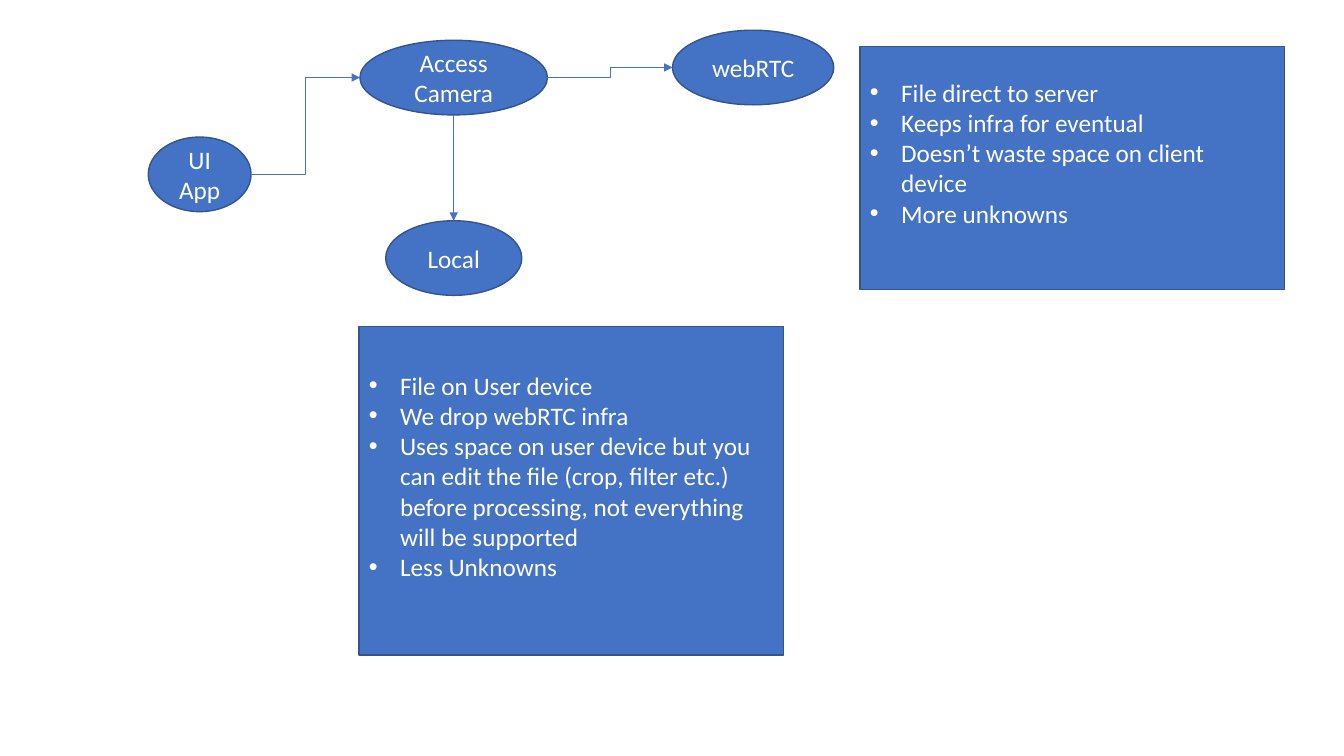
"""Build a slide comparing server streaming with local capture from a camera app."""
from dataclasses import dataclass

from pptx import Presentation
from pptx.dml.color import RGBColor
from pptx.enum.shapes import MSO_CONNECTOR as Connector, MSO_SHAPE as Preset
from pptx.enum.text import MSO_ANCHOR as Anchor, PP_ALIGN as Align
from pptx.oxml.ns import qn
from pptx.shapes.autoshape import Shape
from pptx.slide import Slide
from pptx.util import Inches, Length, Pt
from lxml.etree import SubElement


@dataclass(frozen=True)
class Theme:
    """Colours, type and line weights of the slide."""
    fill: RGBColor = RGBColor(0x44, 0x72, 0xC4)
    outline: RGBColor = RGBColor(0x32, 0x54, 0x91)
    text: RGBColor = RGBColor(0xFF, 0xFF, 0xFF)
    font: str = "Calibri"
    size: Length = Pt(18)
    outline_width: Length = Pt(1)
    arrow_width: Length = Pt(0.5)


@dataclass(frozen=True)
class Step:
    """An oval step placed by grid column and row."""
    label: str
    column: float
    row: float
    columns: float


@dataclass(frozen=True)
class Notes:
    """A bulleted panel placed by grid column and row."""
    points: tuple[str, ...]
    column: float
    row: float
    rows: float


THEME = Theme()
GRID = Inches(0.1)
STEP_ROWS = 7.4
NOTES_COLUMNS = 42.1
BULLET_INDENT = Inches(0.31)
NOTES_BOTTOM_INSET = Inches(0.35)

UI_APP = Step("UI\vApp", 14.7, 13.6, 10.2)
LOCAL = Step("Local", 38.25, 21.9, 13.5)
WEBRTC = Step("webRTC", 66.7, 3, 16)
CAMERA = Step("Access Camera", 35.7, 4, 18.6)
STEPS = (UI_APP, LOCAL, WEBRTC, CAMERA)
SIDEWAYS_LINKS = ((UI_APP, CAMERA), (CAMERA, WEBRTC))

PANELS = (
    Notes(("File direct to server",
           "Keeps infra for eventual",
           "Doesn’t waste space on client device",
           "More unknowns"), 85.3, 4.6, 24.1),
    Notes(("File on User device",
           "We drop webRTC infra",
           "Uses space on user device but you can edit the file (crop, filter etc.) "
           "before processing, not everything will be supported",
           "Less Unknowns"), 35.6, 32.4, 32.6),
)


def grid(units: float) -> Length:
    """Turn grid units into a length."""
    return Length(round(units * GRID))


def add_block(slide: Slide, preset: Preset, column: float, row: float,
              columns: float, rows: float, text: str, align: Align) -> Shape:
    """Add a filled, outlined shape with themed text."""
    shape = slide.shapes.add_shape(preset, grid(column), grid(row), grid(columns), grid(rows))
    shape.shadow.inherit = False
    shape.fill.solid()
    shape.fill.fore_color.rgb = THEME.fill
    shape.line.color.rgb = THEME.outline
    shape.line.width = THEME.outline_width
    frame = shape.text_frame
    frame.word_wrap = True
    frame.vertical_anchor = Anchor.MIDDLE
    frame.text = text
    for paragraph in frame.paragraphs:
        paragraph.alignment = align
        paragraph.font.name = THEME.font
        paragraph.font.size = THEME.size
        paragraph.font.color.rgb = THEME.text
    return shape


def add_step(slide: Slide, step: Step) -> Shape:
    """Add an oval step."""
    return add_block(slide, Preset.OVAL, step.column, step.row, step.columns, STEP_ROWS,
                     step.label, Align.CENTER)


def add_notes(slide: Slide, notes: Notes) -> None:
    """Add a panel of bulleted points."""
    shape = add_block(slide, Preset.RECTANGLE, notes.column, notes.row, NOTES_COLUMNS,
                      notes.rows, "\n".join(notes.points), Align.LEFT)
    shape.text_frame.margin_bottom = NOTES_BOTTOM_INSET
    for paragraph in shape.text_frame.paragraphs:
        properties = paragraph._p.get_or_add_pPr()
        properties.set("marL", str(BULLET_INDENT))
        properties.set("indent", str(-BULLET_INDENT))
        bullet_font = properties.makeelement(qn("a:buFont"), {"typeface": "Arial"})
        bullet = properties.makeelement(qn("a:buChar"), {"char": "•"})
        properties.insert(0, bullet_font)
        properties.insert(1, bullet)


def add_arrow(slide: Slide, kind: Connector, start: tuple[int, int],
              end: tuple[int, int]) -> None:
    """Add a thin connector with a triangular head at its end."""
    arrow = slide.shapes.add_connector(kind, *start, *end)
    arrow.line.color.rgb = THEME.fill
    arrow.line.width = THEME.arrow_width
    SubElement(arrow.line._get_or_add_ln(), qn("a:tailEnd"), type="triangle")
    SubElement(arrow._element.spPr, qn("a:effectLst"))


def middle(shape: Shape) -> tuple[int, int]:
    """Return the centre of a shape."""
    return shape.left + shape.width // 2, shape.top + shape.height // 2


def main() -> None:
    """Build and save the presentation."""
    presentation = Presentation()
    presentation.slide_width = Inches(13.33)
    presentation.slide_height = Inches(7.5)
    slide = presentation.slides.add_slide(presentation.slide_layouts[6])

    ovals = {step: add_step(slide, step) for step in STEPS}
    for source, target in SIDEWAYS_LINKS:
        start, end = ovals[source], ovals[target]
        add_arrow(slide, Connector.ELBOW, (start.left + start.width, middle(start)[1]),
                  (end.left, middle(end)[1]))
    camera, local = ovals[CAMERA], ovals[LOCAL]
    add_arrow(slide, Connector.STRAIGHT, (middle(camera)[0], camera.top + camera.height),
              (middle(local)[0], local.top))

    for notes in PANELS:
        add_notes(slide, notes)
    presentation.save("out.pptx")


main()
